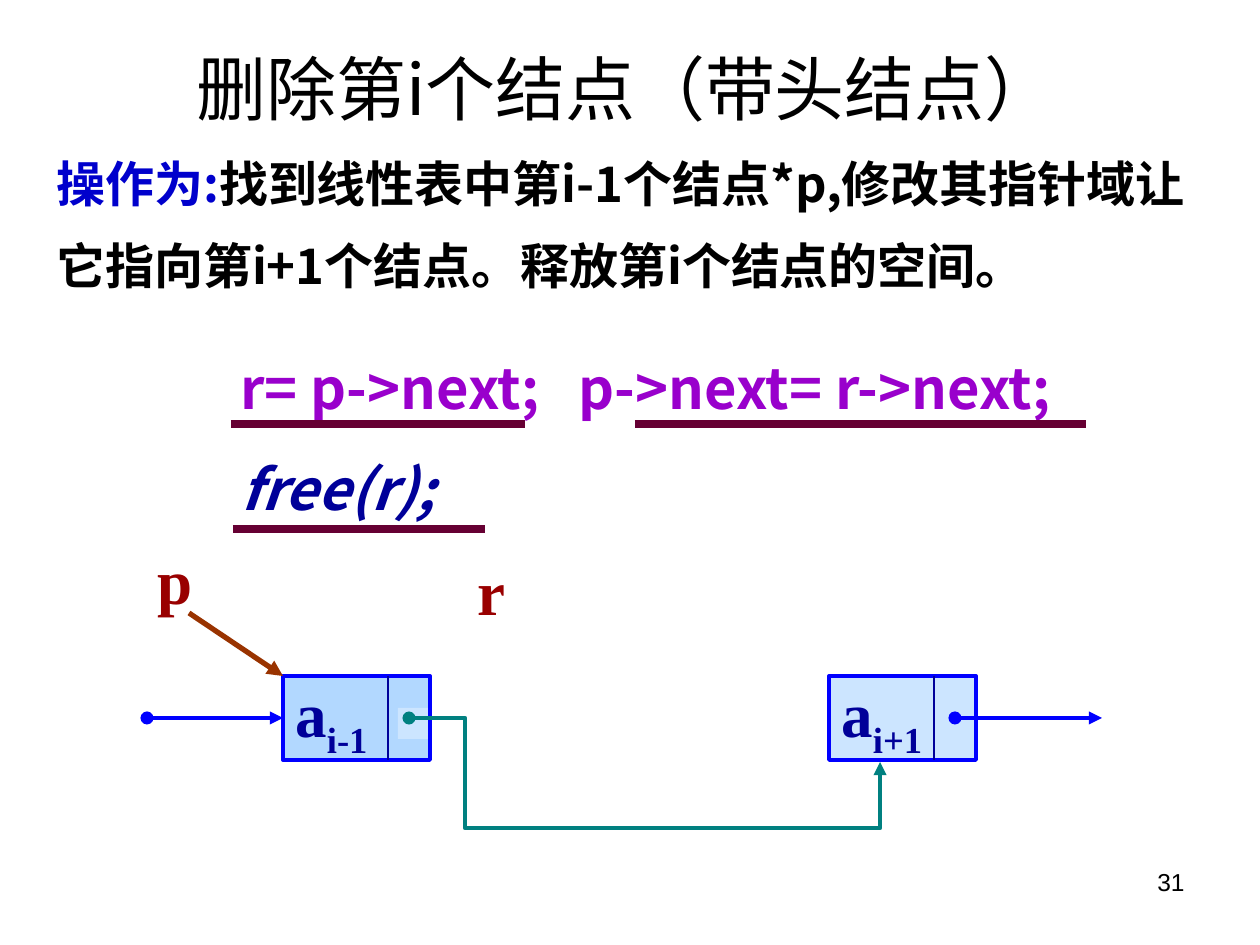
import pptx
import pptx.util
from lxml import etree
from pptx.dml.color import RGBColor
from pptx.enum.shapes import MSO_CONNECTOR, MSO_SHAPE
from pptx.enum.text import MSO_ANCHOR, MSO_AUTO_SIZE, PP_ALIGN
from pptx.oxml.ns import qn

PX = 914400 / 126
SANS, SERIF = "Noto Sans CJK SC", "Times New Roman"
BLACK = RGBColor(0x00, 0x00, 0x00)
LABEL_BLUE = RGBColor(0x00, 0x00, 0xCC)
NAVY = RGBColor(0x00, 0x00, 0x99)
BLUE = RGBColor(0x00, 0x00, 0xFF)
PURPLE = RGBColor(0x99, 0x00, 0xCC)
PLUM = RGBColor(0x66, 0x00, 0x33)
RED = RGBColor(0x99, 0x00, 0x00)
BROWN = RGBColor(0x99, 0x33, 0x00)
TEAL = RGBColor(0x00, 0x80, 0x80)
SKY = RGBColor(0xB2, 0xD8, 0xFF)
PALE_SKY = RGBColor(0xCC, 0xE5, 0xFF)


def emu(*px):
    """Turn px lengths into EMU."""
    return [round(v * PX) for v in px]


def add_run(p, text, size, color, font=SANS, bold=True, italic=False, baseline=0):
    r = p.add_run()
    r.text = text
    r.font.size = pptx.util.Pt(size)
    r.font.name = font
    r.font.bold = bold
    r.font.italic = italic
    r.font.color.rgb = color
    rpr = r.font._element
    if baseline:
        rpr.set("baseline", str(baseline * 1000))
    rpr.find(qn("a:latin")).addnext(
        etree.Element(qn("a:ea"), typeface=font))


def add_box(s, x, y, w, h, wrap=True, grow=True):
    """Add an empty text box and return its text frame."""
    tf = s.shapes.add_textbox(*emu(x, y, w, h)).text_frame
    tf.word_wrap = wrap
    tf.auto_size = MSO_AUTO_SIZE.SHAPE_TO_FIT_TEXT if grow else MSO_AUTO_SIZE.NONE
    return tf


def add_rect(s, x, y, w, h, fill, line=None):
    sp = s.shapes.add_shape(MSO_SHAPE.RECTANGLE, *emu(x, y, w, h))
    sp.shadow.inherit = False
    sp.fill.solid()
    sp.fill.fore_color.rgb = fill
    if line is None:
        sp.line.fill.background()
    else:
        sp.line.color.rgb = line
        sp.line.width = pptx.util.Pt(2.25)
    return sp


def add_line(s, x1, y1, x2, y2, color, width, head=None, tail=None,
             kind=MSO_CONNECTOR.STRAIGHT):
    cxn = s.shapes.add_connector(kind, *emu(x1, y1, x2, y2))
    cxn.line.color.rgb = color
    cxn.line.width = pptx.util.Pt(width)
    ln = cxn.line._get_or_add_ln()
    for tag, end in (("a:headEnd", head), ("a:tailEnd", tail)):
        if end:
            etree.SubElement(ln, qn(tag), type=end)
    etree.SubElement(cxn._element.spPr, qn("a:effectLst"))
    return cxn


def heading(s, x, y, w, h):
    tf = add_box(s, x, y, w, h)
    title, body = tf.paragraphs[0], tf.add_paragraph()
    title.alignment = PP_ALIGN.CENTER
    title.line_spacing = body.line_spacing = 1.4
    add_run(title, "删除第i个结点（带头结点）", 40, BLACK, bold=False)
    add_run(body, "操作为:", 28, LABEL_BLUE)
    add_run(body, "找到线性表中第i-1个结点*p,修改其指针域让它指向第i+1个结点。"
                  "释放第i个结点的空间。", 28, BLACK)


def code(s, x, y, w, h):
    """Two code lines, with a rule under each statement."""
    tf = add_box(s, x, y, w, h)
    unlink, release = tf.paragraphs[0], tf.add_paragraph()
    tabs = etree.SubElement(unlink._p.get_or_add_pPr(), qn("a:tabLst"))
    etree.SubElement(tabs, qn("a:tab"), pos=str(emu(338)[0]), algn="l")
    unlink.line_spacing = release.line_spacing = 1.5
    add_run(unlink, "r= p->next;\tp->next= r->next;", 32, PURPLE)
    add_run(release, "free(r);", 32, NAVY, italic=True)
    for left, right, drop in ((3, 297, 110), (407, 858, 110), (5, 257, 215)):
        add_line(s, x + left, y + drop, x + right, y + drop, PLUM, 4.5)


def node(s, x, y, w, h, index, fill):
    """A list node: a data cell with its label, then a pointer cell."""
    sp = add_rect(s, x, y, w, h, fill, BLUE)
    tf = sp.text_frame
    tf.word_wrap = True
    tf.vertical_anchor = MSO_ANCHOR.MIDDLE
    p = tf.paragraphs[0]
    p.alignment = PP_ALIGN.LEFT
    add_run(p, "a", 36, NAVY, SERIF)
    add_run(p, index, 36, NAVY, SERIF, baseline=-25)
    add_line(s, x + 105, y, x + 105, y + h, NAVY, 0.75)
    return sp


def bypass(s, x1, y1, x2, y2, turn_x, low_y):
    """Elbow arrow that runs right, down to low_y, right, then up."""
    cxn = add_line(s, x1, y1, x2, y2, TEAL, 2.5, "oval", "triangle",
                   MSO_CONNECTOR.ELBOW)
    geom = cxn._element.spPr.find(qn("a:prstGeom"))
    geom.set("prst", "bentConnector4")
    guides = geom.get_or_add_avLst()
    ratios = (turn_x - x1) / (x2 - x1), (low_y - y1) / (y2 - y1)
    for i, ratio in enumerate(ratios, 1):
        etree.SubElement(guides, qn("a:gd"), name=f"adj{i}",
                         fmla=f"val {round(ratio * 100000)}")


def list_diagram(s, x, y, w, h):
    """Nodes i-1 and i+1, joined past the deleted node."""
    node_w, node_h, node_y = 147, 84, y + 141
    mid = node_y + node_h // 2
    prev_x, next_x = x + 138, x + 684
    prev = node(s, prev_x, node_y, node_w, node_h, "i-1", SKY)
    add_rect(s, prev_x + 115, mid - 10, 30, 31, PALE_SKY)
    node(s, next_x, node_y, node_w, node_h, "i+1", PALE_SKY)
    arrow = dict(color=BLUE, width=2.5, head="oval", tail="triangle")
    add_line(s, x + 2, mid, prev_x, mid, **arrow).end_connect(prev, 1)
    add_line(s, next_x + 126, mid, x + w, mid, **arrow)
    bypass(s, prev_x + 126, mid, next_x + 51, mid + 44, prev_x + 182, y + h)
    add_line(s, x + 44, y + 78, prev_x, node_y, BROWN, 3, tail="triangle")
    for name, left, top, width in (("p", 0, 0, 60), ("r", 320, 11, 53)):
        tf = add_box(s, x + left, y + top, width, 88, wrap=False)
        add_run(tf.paragraphs[0], name, 36, RED, SERIF)


def page_number(s, x, y, w, h):
    p = add_box(s, x, y, w, h, grow=False).paragraphs[0]
    p.alignment = PP_ALIGN.RIGHT
    add_run(p, "31", 14, BLACK, "Arial", bold=False)


def main():
    prs = pptx.Presentation()
    prs.slide_width, prs.slide_height = emu(1260, 945)
    s = prs.slides.add_slide(prs.slide_layouts[6])
    heading(s, 44, 6, 1163, 295)
    code(s, 228, 314, 950, 214)
    list_diagram(s, 145, 535, 957, 293)
    page_number(s, 903, 861, 294, 66)
    prs.save("out.pptx")


if __name__ == "__main__":
    main()
